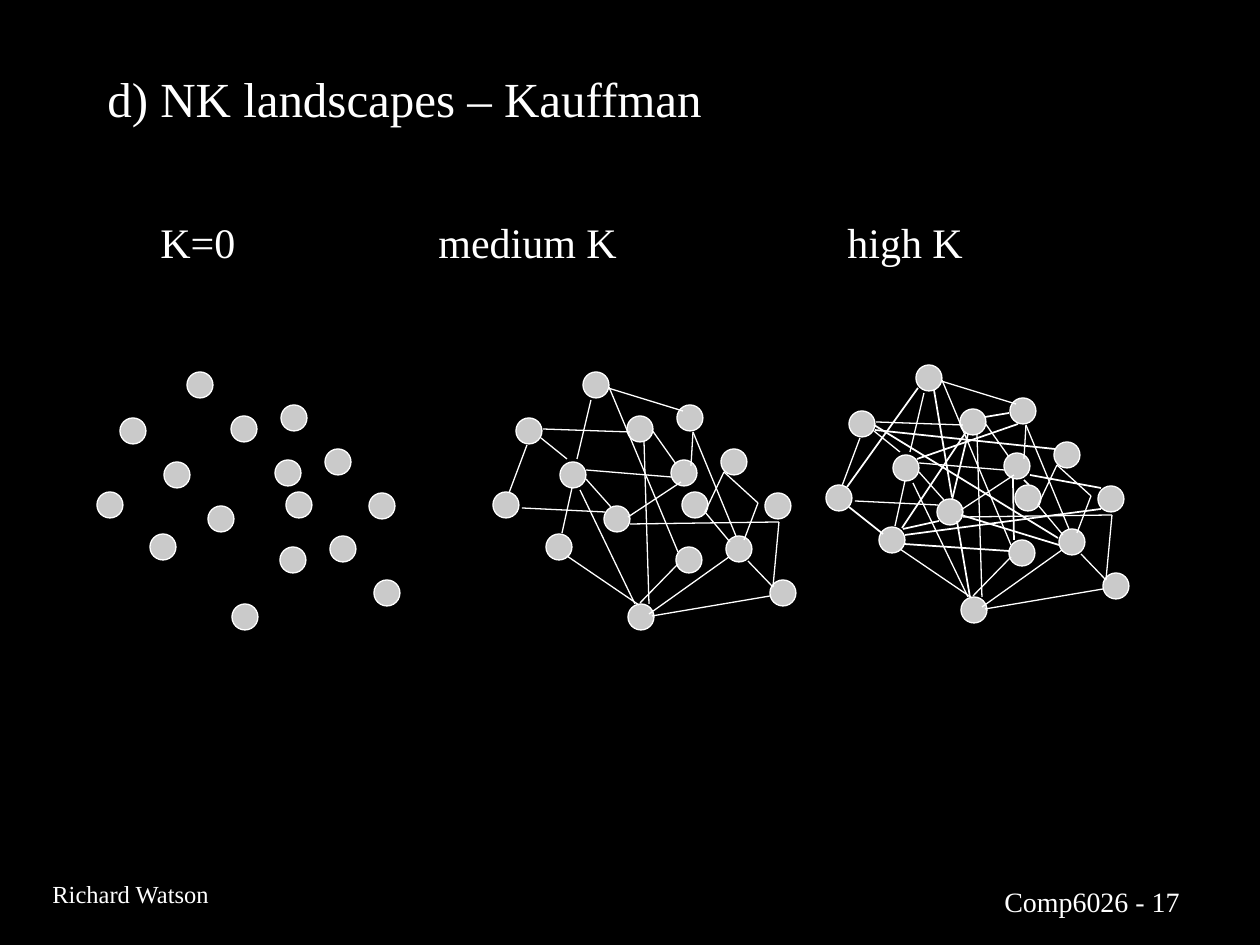
from dataclasses import dataclass
from itertools import pairwise

from lxml import etree
from pptx import Presentation
from pptx.dml.color import RGBColor
from pptx.enum.shapes import MSO_CONNECTOR, MSO_SHAPE
from pptx.enum.text import MSO_ANCHOR
from pptx.oxml.ns import qn
from pptx.util import Emu, Pt

STRAIGHT, OVAL = MSO_CONNECTOR.STRAIGHT, MSO_SHAPE.OVAL
TOP, MIDDLE = MSO_ANCHOR.TOP, MSO_ANCHOR.MIDDLE


@dataclass(frozen=True)
class Theme:
    font: str = "Times New Roman"
    background: RGBColor = RGBColor(0x00, 0x00, 0x00)
    ink: RGBColor = RGBColor(0xFF, 0xFF, 0xFF)
    node: RGBColor = RGBColor(0xCA, 0xCA, 0xCA)
    title: int = 28
    label: int = 24
    course: int = 16
    author: int = 14
    thin: float = 0.75
    thick: float = 1


THEME = Theme()
SCALE = 914400 / 126  # EMU in one px
SLIDE_SIZE = (1260, 945)

# text, box (left, top, width, height), type size, anchor
TEXTS = [
    ("Comp6026 - 17", (992, 878, 250, 45), THEME.course, TOP),
    ("Richard Watson", (40, 873, 184, 43), THEME.author, TOP),
    ("d) NK landscapes – Kauffman", (95, 52, 1071, 92), THEME.title, MIDDLE),
]
LABELS = ["K=0", "medium K", "high K"]
LABEL_BOX = (95, 210, 1067, 170)
LABEL_TABS = [53, 331, 740]

# All network coordinates below are relative to the network's origin
ORIGIN_ZERO, ORIGIN_MEDIUM, ORIGIN_HIGH = (97, 372), (493, 372), (826, 365)
NODE_SIZE = 26
CHAIN_STEP = 44
CHAIN_STARTS = [(23, 46), (184, 33), (189, 120), (90, 0)]
SINGLE_NODES = [(135, 232), (0, 120), (53, 162), (183, 175)]

MEDIUM_PATHS = [
    [(16, 121), (34, 73)],
    [(69, 161), (79, 116)],
    [(29, 136), (112, 140)],
    [(93, 107), (118, 135)],
    [(50, 57), (137, 60)],
    [(98, 28), (84, 87)],
    [(48, 66), (74, 87)],
    [(116, 15), (185, 180)],
    [(115, 16), (190, 39)],
    [(159, 58), (183, 92)],
    [(178, 105), (93, 98)],
    [(188, 110), (135, 145)],
    [(198, 94), (200, 60), (243, 164)],
    [(237, 170), (212, 140), (231, 100), (265, 131), (251, 168)],
    [(255, 189), (280, 215), (286, 150), (137, 152)],
    [(185, 192), (147, 231)],
    [(146, 233), (74, 184)],
    [(142, 232), (87, 118)],
    [(156, 242), (236, 185)],
    [(159, 244), (277, 224)],
    [(156, 232), (151, 69)],
]
EXTRA_HIGH_PATHS = [
    [(23, 142), (57, 169)],
    [(78, 179), (183, 186)],
    [(131, 156), (144, 232)],
    [(113, 156), (77, 164)],
    [(126, 132), (108, 25)],
    [(92, 23), (21, 122)],
    [(91, 94), (192, 59)],
    [(159, 52), (183, 48)],
    [(142, 69), (126, 135)],
    [(140, 67), (76, 163)],
    [(203, 120), (198, 115)],
    [(187, 113), (188, 175)],
    [(233, 180), (135, 150)],
    [(232, 173), (48, 60)],
    [(79, 170), (275, 144)],
    [(275, 123), (204, 110)],
    [(229, 84), (49, 65)],
]


def px(*lengths):
    return [Emu(round(n * SCALE)) for n in lengths]


def add_text(shapes, text, box, size, anchor=TOP):
    tf = shapes.add_textbox(*px(*box)).text_frame
    tf.word_wrap = True
    tf.vertical_anchor = anchor
    p = tf.paragraphs[0]
    r = p.add_run()
    r.text = text
    r.font.name = THEME.font
    r.font.size = Pt(size)
    r.font.color.rgb = THEME.ink
    return p


def add_tabs(p, positions):
    tabs = etree.SubElement(p._p.get_or_add_pPr(), qn("a:tabLst"))
    for pos in px(*positions):
        etree.SubElement(tabs, qn("a:tab"), pos=str(pos), algn="l")


def add_nodes(shapes, origin):
    chains = [(x + i * CHAIN_STEP, y + i * CHAIN_STEP)
              for x, y in CHAIN_STARTS for i in range(3)]
    for x, y in chains + SINGLE_NODES:
        sp = shapes.add_shape(
            OVAL, *px(origin[0] + x, origin[1] + y, NODE_SIZE, NODE_SIZE))
        sp.shadow.inherit = False
        sp.fill.solid()
        sp.fill.fore_color.rgb = THEME.node
        sp.line.color.rgb = THEME.ink
        sp.line.width = Pt(THEME.thin)


def add_edges(shapes, origin, paths, width):
    ox, oy = origin
    for path in paths:
        for (x1, y1), (x2, y2) in pairwise(path):
            line = shapes.add_connector(
                STRAIGHT, *px(ox + x1, oy + y1, ox + x2, oy + y2))
            line.line.color.rgb = THEME.ink
            line.line.width = Pt(width)
            etree.SubElement(line._element.spPr, qn("a:effectLst"))


def main():
    prs = Presentation()
    prs.slide_width, prs.slide_height = px(*SLIDE_SIZE)
    slide = prs.slides.add_slide(prs.slide_layouts[6])
    slide.background.fill.solid()
    slide.background.fill.fore_color.rgb = THEME.background
    shapes = slide.shapes

    for text, box, size, anchor in TEXTS:
        add_text(shapes, text, box, size, anchor)
    labels = "".join("\t" + label for label in LABELS)
    add_tabs(add_text(shapes, labels, LABEL_BOX, THEME.label), LABEL_TABS)

    for origin in (ORIGIN_HIGH, ORIGIN_MEDIUM):
        network = shapes.add_group_shape().shapes
        add_nodes(network, origin)
        add_edges(network, origin, MEDIUM_PATHS, THEME.thin)
    add_nodes(shapes, ORIGIN_ZERO)
    add_edges(shapes, ORIGIN_HIGH, EXTRA_HIGH_PATHS, THEME.thick)

    prs.save("out.pptx")


if __name__ == "__main__":
    main()
